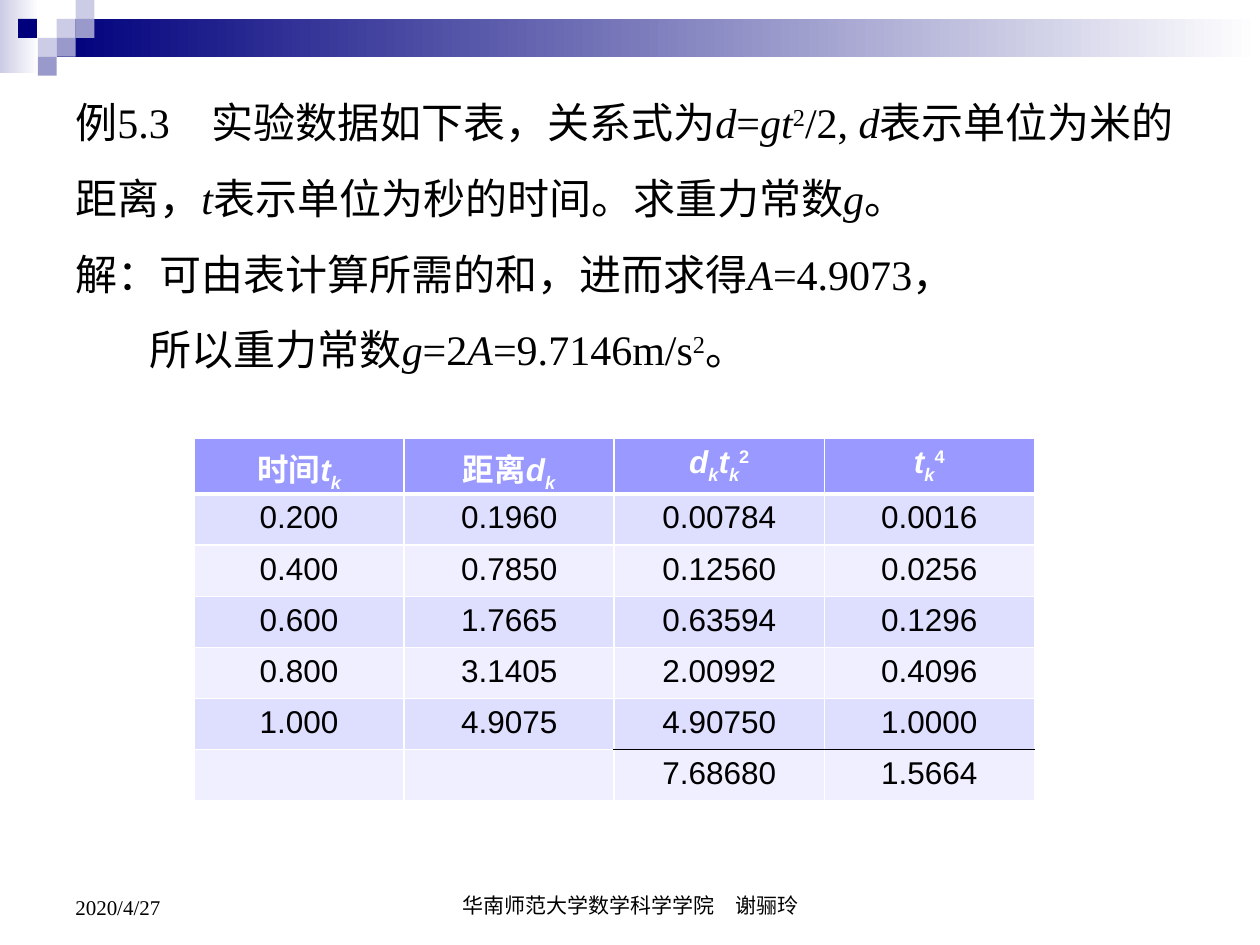
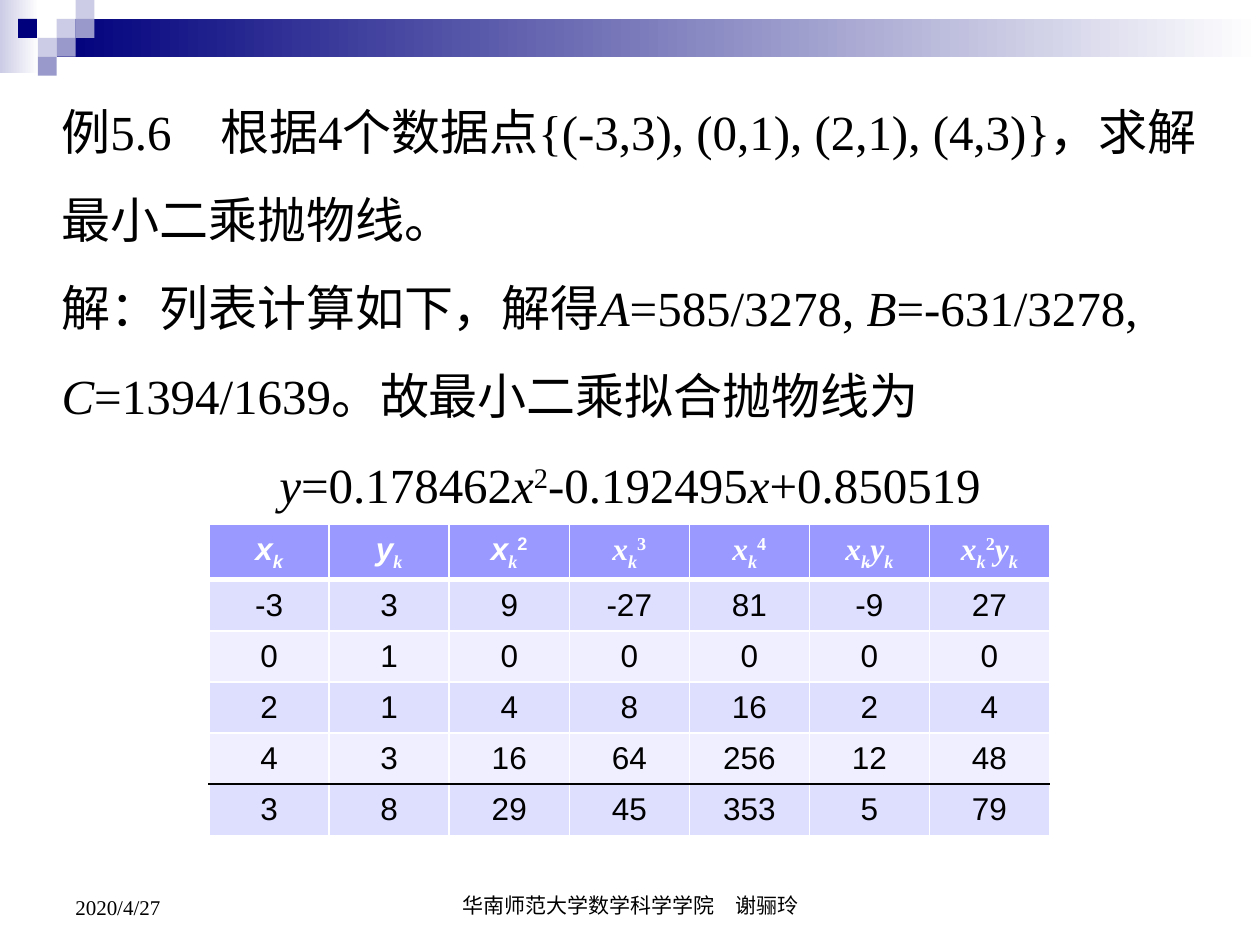
from pptx import Presentation
from pptx.dml.color import RGBColor as Rgb
from pptx.enum.shapes import MSO_SHAPE as Shape
from pptx.enum.text import MSO_ANCHOR as Anchor, MSO_AUTO_SIZE as AutoSize, PP_ALIGN as Align
from pptx.oxml.ns import qn
from pptx.util import Inches, Pt
from lxml.etree import SubElement

COLORS = {
    "navy": "00007D", "lavender": "CCCCE6", "violet": "9999CC",
    "white": "FFFFFF", "black": "000000",
    "header": "9999FF", "odd": "DEDEFF", "even": "EFEFFF",
}
SERIF, SANS = "Times New Roman", "Arial"
BODY_LEADING = 1.5
TABLE_WIDTH, ROW_HEIGHT = 66.7, 5.41

# Band pieces: left, top, width, height in percent of the slide, then fill colours
SQUARE = (1.5, 2)
BANDS = [
    (0, 0, 3.1, 7.75, "lavender", "white"),
    (4.5, 2, 95.5, 4, "navy", "white"),
    (4.5, 2, *SQUARE, "lavender"),
    (6, 0, *SQUARE, "lavender"),
    (6, 2, *SQUARE, "violet"),
    (3, 4, *SQUARE, "lavender"),
    (1.43, 2, *SQUARE, "navy"),
    (4.5, 4, *SQUARE, "violet"),
    (3, 6, *SQUARE, "violet"),
]
FOOTERS = [
    ((34.2, 91.07, 31.7, 6.67), Align.CENTER, "华南师范大学数学科学学院　谢骊玲"),
    ((5, 91.07, 23.3, 6.93), Align.LEFT, "2020/4/27"),
]

# Text pieces are split by "|"; leading marks: * italic, _ subscript, ^ superscript, ~ serif
LESSONS = [
    {
        "place": (5, 6.93, 89.9, 32.67), "size": 24, "tab": 1.08,
        "body": [
            ("例5.3\t实验数据如下表，关系式为|*d|=|*gt|^2|/2, |*d|表示单位为米的距离，|*t"
             "|表示单位为秒的时间。求重力常数|*g|。", Align.LEFT, 0),
            ("解：可由表计算所需的和，进而求得|*A|=4.9073，", Align.LEFT, 0),
            ("所以重力常数|*g|=2|*A|=9.7146m/s|^2|。", Align.LEFT, 0.59),
        ],
        "table_corner": (15.4, 46.4), "anchor": Anchor.TOP, "sum_from": 2,
        "rows": [
            ["时间|*t|*_k", "距离|*d|*_k", "*d|*_k|*t|*_k|^2", "*t|*_k|^4"],
            ["0.200", "0.1960", "0.00784", "0.0016"],
            ["0.400", "0.7850", "0.12560", "0.0256"],
            ["0.600", "1.7665", "0.63594", "0.1296"],
            ["0.800", "3.1405", "2.00992", "0.4096"],
            ["1.000", "4.9075", "4.90750", "1.0000"],
            ["", "", "7.68680", "1.5664"],
        ],
    },
    {
        "place": (3.9, 6.93, 92.2, 48.53), "size": 28, "tab": 1.26,
        "body": [
            ("例5.6\t根据4个数据点{(-3,3), (0,1), (2,1), (4,3)}，求解最小二乘抛物线。",
             Align.LEFT, 0),
            ("解：列表计算如下，解得|*A|=585/3278, |*B|=-631/3278, |*C"
             "|=1394/1639。故最小二乘拟合抛物线为", Align.LEFT, 0),
            ("*y|=0.178462|*x|^2|-0.192495|*x|+0.850519", Align.CENTER, 0),
        ],
        "table_corner": (16.6, 55.47), "anchor": Anchor.MIDDLE, "sum_from": 0,
        "rows": [
            ["*x|*_k", "*y|~*_k", "*x|~*_k|^2", "~*x|~*_k|~^3", "~*x|~*_k|~^4",
             "~*x|~*_k|~*y|~*_k", "~*x|~*_k|~^2|~*y|~*_k"],
            ["-3", "3", "9", "-27", "81", "-9", "27"],
            ["0", "1", "0", "0", "0", "0", "0"],
            ["2", "1", "4", "8", "16", "2", "4"],
            ["4", "3", "16", "64", "256", "12", "48"],
            ["3", "8", "29", "45", "353", "5", "79"],
        ],
    },
]

deck = Presentation()
deck.slide_width, deck.slide_height = Inches(10), Inches(7.5)


def place(left, top, width, height):
    """Turn percentages of the slide into lengths."""
    across, down = deck.slide_width / 100, deck.slide_height / 100
    return round(left * across), round(top * down), round(width * across), round(height * down)


def write(para, marked, size, font, color="black", bold=False, align=Align.LEFT):
    """Fill a paragraph from marked text pieces."""
    para.alignment = align
    for piece in marked.split("|") if marked else []:
        words = piece.lstrip("*_^~")
        marks = piece[:len(piece) - len(words)]
        span = para.add_run()
        span.text = words
        span.font.size, span.font.bold = Pt(size), bold
        span.font.italic = "*" in marks
        span.font.name = SERIF if "~" in marks else font
        span.font.color.rgb = Rgb.from_string(COLORS[color])
        if "_" in marks or "^" in marks:
            span.font._element.set("baseline", "-25000" if "_" in marks else "30000")


for lesson in LESSONS:
    page = deck.slides.add_slide(deck.slide_layouts[6])

    # Corner squares and top band
    for left, top, width, height, *tints in BANDS:
        band = page.shapes.add_shape(Shape.RECTANGLE, *place(left, top, width, height))
        band.shadow.inherit = False
        band.line.fill.background()
        if len(tints) == 1:
            band.fill.solid()
            band.fill.fore_color.rgb = Rgb.from_string(COLORS[tints[0]])
        else:
            band.fill.gradient()
            band.fill.gradient_angle = 0
            for stop, tint in zip(band.fill.gradient_stops, tints):
                stop.color.rgb = Rgb.from_string(COLORS[tint])

    # Footer
    for spot, align, words in FOOTERS:
        box = page.shapes.add_textbox(*place(*spot))
        box.text_frame.word_wrap = True
        box.text_frame.vertical_anchor = Anchor.BOTTOM
        write(box.text_frame.paragraphs[0], words, 12, SERIF, align=align)

    # Problem and solution
    box = page.shapes.add_textbox(*place(*lesson["place"]))
    frame = box.text_frame
    frame.word_wrap = True
    frame.auto_size = AutoSize.SHAPE_TO_FIT_TEXT
    for number, (marked, align, indent) in enumerate(lesson["body"]):
        para = frame.add_paragraph() if number else frame.paragraphs[0]
        write(para, marked, lesson["size"], SERIF, align=align)
        para.line_spacing = BODY_LEADING
        props = para._p.get_or_add_pPr()
        if indent:
            props.set("marL", str(Inches(indent)))
        if "\t" in marked:
            stops = SubElement(props, qn("a:tabLst"))
            SubElement(stops, qn("a:tab"), pos=str(Inches(lesson["tab"])), algn="l")

    # Table of sums
    rows = lesson["rows"]
    spot = place(*lesson["table_corner"], TABLE_WIDTH, ROW_HEIGHT * len(rows))
    table = page.shapes.add_table(len(rows), len(rows[0]), *spot).table
    table.first_row = table.horz_banding = False
    last = len(rows) - 1
    for r, row in enumerate(rows):
        tint = "header" if r == 0 else "odd" if r % 2 else "even"
        for c, marked in enumerate(row):
            cell = table.cell(r, c)
            cell.vertical_anchor = lesson["anchor"]
            cell.fill.solid()
            cell.fill.fore_color.rgb = Rgb.from_string(COLORS[tint])
            write(cell.text_frame.paragraphs[0], marked, 18, SANS,
                  "black" if r else "white", r == 0, Align.CENTER)
            summed = c >= lesson["sum_from"]
            edges = {
                "lnL": ("white", 1),
                "lnR": ("white", 1),
                "lnT": ("black" if summed and r == last else "white", 3 if r == 1 else 1),
                "lnB": ("black" if summed and r == last - 1 else "white", 1 if r else 3),
            }
            props = cell._tc.get_or_add_tcPr()
            for order, (side, (ink, weight)) in enumerate(edges.items()):
                edge = SubElement(props, qn(f"a:{side}"), w=str(Pt(weight)))
                paint = SubElement(edge, qn("a:solidFill"))
                SubElement(paint, qn("a:srgbClr"), val=COLORS[ink])
                props.insert(order, edge)

deck.save("out.pptx")
